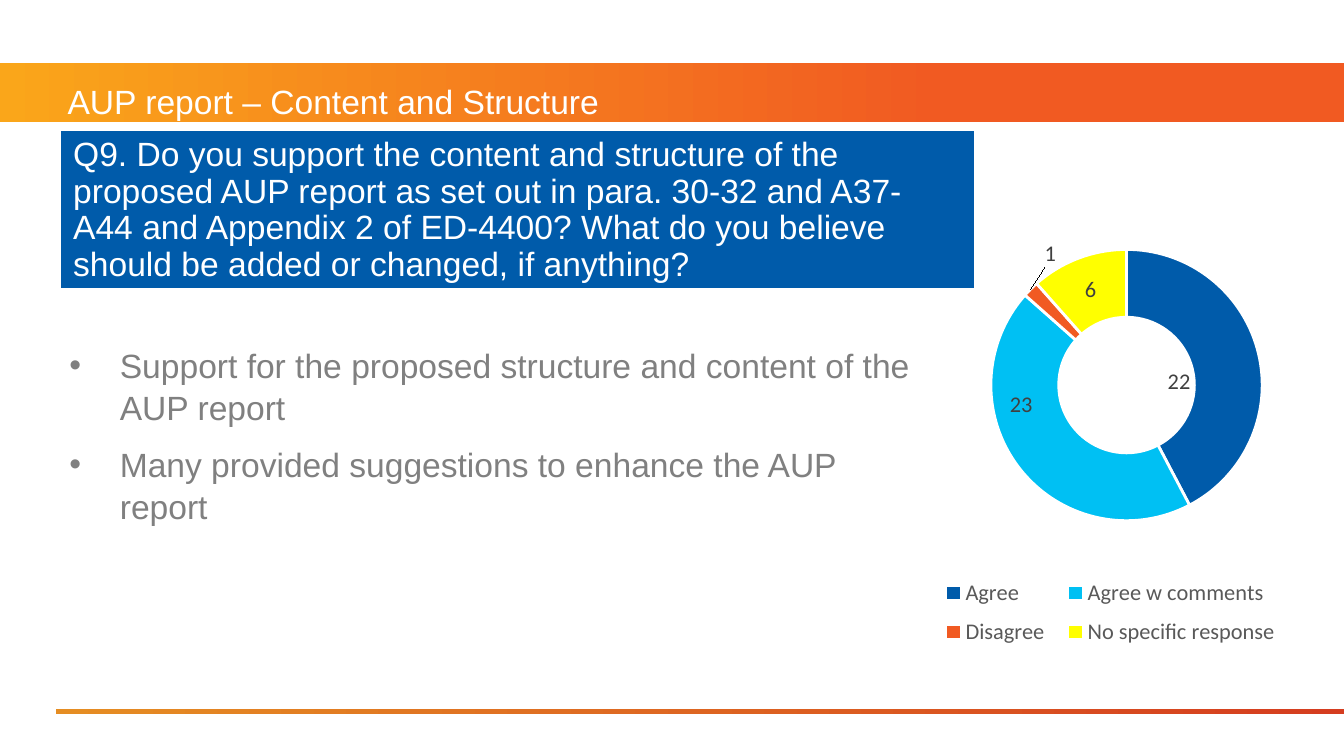
from copy import deepcopy

from pptx import Presentation
from pptx.chart.data import CategoryChartData
from pptx.dml.color import RGBColor
from pptx.enum.chart import XL_CHART_TYPE as ChartType, XL_LEGEND_POSITION as LegendPosition
from pptx.enum.shapes import MSO_SHAPE as ShapeKind
from pptx.enum.text import MSO_ANCHOR as Anchor, MSO_AUTO_SIZE as AutoSize, PP_ALIGN as Align
from pptx.oxml import parse_xml
from pptx.oxml.ns import nsdecls, qn
from pptx.util import Pt

WHITE = RGBColor(0xFF, 0xFF, 0xFF)
BLUE = RGBColor(0x00, 0x5B, 0xAA)
CYAN = RGBColor(0x00, 0xC0, 0xF3)
ORANGE = RGBColor(0xF1, 0x5A, 0x22)
YELLOW = RGBColor(0xFF, 0xFF, 0x00)
AMBER = RGBColor(0xFA, 0xA6, 0x1A)
OCHRE = RGBColor(0xE5, 0x8D, 0x23)
RED = RGBColor(0xD5, 0x3D, 0x20)
GREY = RGBColor(0x80, 0x80, 0x80)
LABEL_GREY = RGBColor(0x40, 0x40, 0x40)
LEGEND_GREY = RGBColor(0x59, 0x59, 0x59)

TITLE = "AUP report – Content and Structure"
QUESTION = (
    "Q9. Do you support the content and structure of the proposed AUP report "
    "as set out in para. 30-32 and A37-A44 and Appendix 2 of ED-4400? "
    "What do you believe should be added or changed, if anything?"
)
POINTS = [
    "Support for the proposed structure and content of the AUP report",
    "Many provided suggestions to enhance the AUP report",
]
# Answer, count, colour, label offset as a fraction of the chart
ANSWERS = [
    ("Agree", 22, BLUE, (-0.11, 0.04)),
    ("Agree w comments", 23, CYAN, (-0.06, -0.08)),
    ("Disagree", 1, ORANGE, (-0.01, -0.11)),
    ("No specific response", 6, YELLOW, None),
]


def place(shape, box):
    shape.left, shape.top, shape.width, shape.height = (Pt(length) for length in box)


def style_font(font, size, color, name="Arial"):
    font.size, font.name, font.bold = Pt(size), name, False
    font.color.rgb = color


def add_band(page, box, stops):
    band = page.shapes.add_shape(ShapeKind.RECTANGLE, *(Pt(length) for length in box))
    band.shadow.inherit = False
    band.line.fill.background()
    band.fill.gradient()
    band.fill.gradient_angle = 0
    for stop, (position, color) in zip(band.fill.gradient_stops, stops):
        stop.position = position
        stop.color.rgb = color
    # Bands lie behind the placeholders
    page.shapes._spTree.insert(2, band._element)


def fill_title(page, box):
    title = page.shapes.title
    place(title, box)
    frame = title.text_frame
    frame.text = TITLE
    frame.auto_size = AutoSize.NONE
    frame.vertical_anchor = Anchor.MIDDLE
    para = frame.paragraphs[0]
    para.alignment = Align.LEFT
    style_font(para.runs[0].font, 18, WHITE)


def fill_points(page, box):
    body = page.placeholders[1]
    place(body, box)
    frame = body.text_frame
    frame.auto_size = AutoSize.NONE
    frame.vertical_anchor = Anchor.TOP
    for index, text in enumerate(POINTS):
        para = frame.add_paragraph() if index else frame.paragraphs[0]
        para.text = text
        para.line_spacing = 1.05
        para.space_before = Pt(7.8 if index else 0)
        properties = para._p.get_or_add_pPr()
        properties.set("marL", str(Pt(27)))
        properties.set("indent", str(Pt(-27)))
        properties.append(parse_xml(f'<a:buFont {nsdecls("a")} typeface="Arial"/>'))
        properties.append(parse_xml(f'<a:buChar {nsdecls("a")} char="•"/>'))
        style_font(para.runs[0].font, 18, GREY)


def add_question(page, box):
    table = page.shapes.add_table(1, 1, *(Pt(length) for length in box)).table
    cell = table.cell(0, 0)
    properties = cell._tc.get_or_add_tcPr()
    for side, width in (("L", 1), ("R", 1), ("T", 1), ("B", 3)):
        properties.append(parse_xml(
            f'<a:ln{side} {nsdecls("a")} w="{Pt(width)}"><a:solidFill>'
            f'<a:srgbClr val="{WHITE}"/></a:solidFill></a:ln{side}>'))
    cell.fill.solid()
    cell.fill.fore_color.rgb = BLUE
    cell.text_frame.text = QUESTION
    para = cell.text_frame.paragraphs[0]
    para.line_spacing = 0.97
    style_font(para.runs[0].font, 18, WHITE)


def layout_xml(x, y, size=None, inner=False):
    target = '<c:layoutTarget val="inner"/>' if inner else ""
    modes = '<c:xMode val="edge"/><c:yMode val="edge"/>' if size else ""
    extent = f'<c:w val="{size[0]}"/><c:h val="{size[1]}"/>' if size else ""
    return parse_xml(
        f'<c:layout {nsdecls("c")}><c:manualLayout>{target}{modes}'
        f'<c:x val="{x}"/><c:y val="{y}"/>{extent}</c:manualLayout></c:layout>')


def set_layout(parent, layout, position):
    for old in parent.findall(qn("c:layout")):
        parent.remove(old)
    parent.insert(position, layout)


def add_answers(page, box):
    data = CategoryChartData()
    data.categories = [answer[0] for answer in ANSWERS]
    data.add_series("Series 1", [answer[1] for answer in ANSWERS])
    chart = page.shapes.add_chart(
        ChartType.DOUGHNUT, *(Pt(length) for length in box), data).chart
    chart.has_title = False
    style_font(chart.font, 10, RGBColor(0, 0, 0), "Calibri")

    # Ring
    plot = chart.plots[0]
    plot.vary_by_categories = True
    plot._element.find(qn("c:holeSize")).set("val", "75")
    plot_area = chart._chartSpace.chart.plotArea
    set_layout(plot_area, layout_xml(0.215, 0.189, (0.645, 0.568), inner=True), 0)

    # Legend
    chart.has_legend = True
    chart.legend.position = LegendPosition.BOTTOM
    chart.legend.include_in_layout = False
    style_font(chart.legend.font, 12, LEGEND_GREY, "Calibri")
    set_layout(chart.legend._element, layout_xml(0.07, 0.81, (0.86, 0.17)), 1)

    # Slices and their labels
    series = plot.series[0]
    labels = series.data_labels
    labels.show_value = True
    labels.show_percentage = False
    style_font(labels.font, 12, LABEL_GREY, "Calibri")
    text_style = labels._element.find(qn("c:txPr"))
    flags = "".join(
        f'<c:show{part} val="{int(part == "Val")}"/>'
        for part in ("LegendKey", "Val", "CatName", "SerName", "Percent", "BubbleSize"))
    for index, (_, _, color, offset) in enumerate(ANSWERS):
        slice_format = series.points[index].format
        slice_format.fill.solid()
        slice_format.fill.fore_color.rgb = color
        slice_format.line.color.rgb = WHITE
        slice_format.line.width = Pt(1.5)
        if offset:
            label = parse_xml(
                f'<c:dLbl {nsdecls("c")}><c:idx val="{index}"/>{flags}</c:dLbl>')
            label.insert(1, layout_xml(*offset))
            label.insert(2, deepcopy(text_style))
            labels._element.insert(index, label)


def build_page(deck):
    page = deck.slides.add_slide(deck.slide_layouts[1])
    add_band(page, (0, 34, 720, 31.5), [(0, AMBER), (0.7, ORANGE)])
    add_band(page, (30, 379.7, 690, 2.8), [(0, OCHRE), (1, RED)])
    fill_title(page, (29, 38, 594, 32))
    fill_points(page, (30, 180, 475, 166))
    add_question(page, (32, 70, 490, 80))
    add_answers(page, (482.4, 69.8, 225.4, 288.7))


def main():
    deck = Presentation()
    deck.slide_width, deck.slide_height = Pt(720), Pt(405)
    build_page(deck)
    deck.save("out.pptx")


if __name__ == "__main__":
    main()
